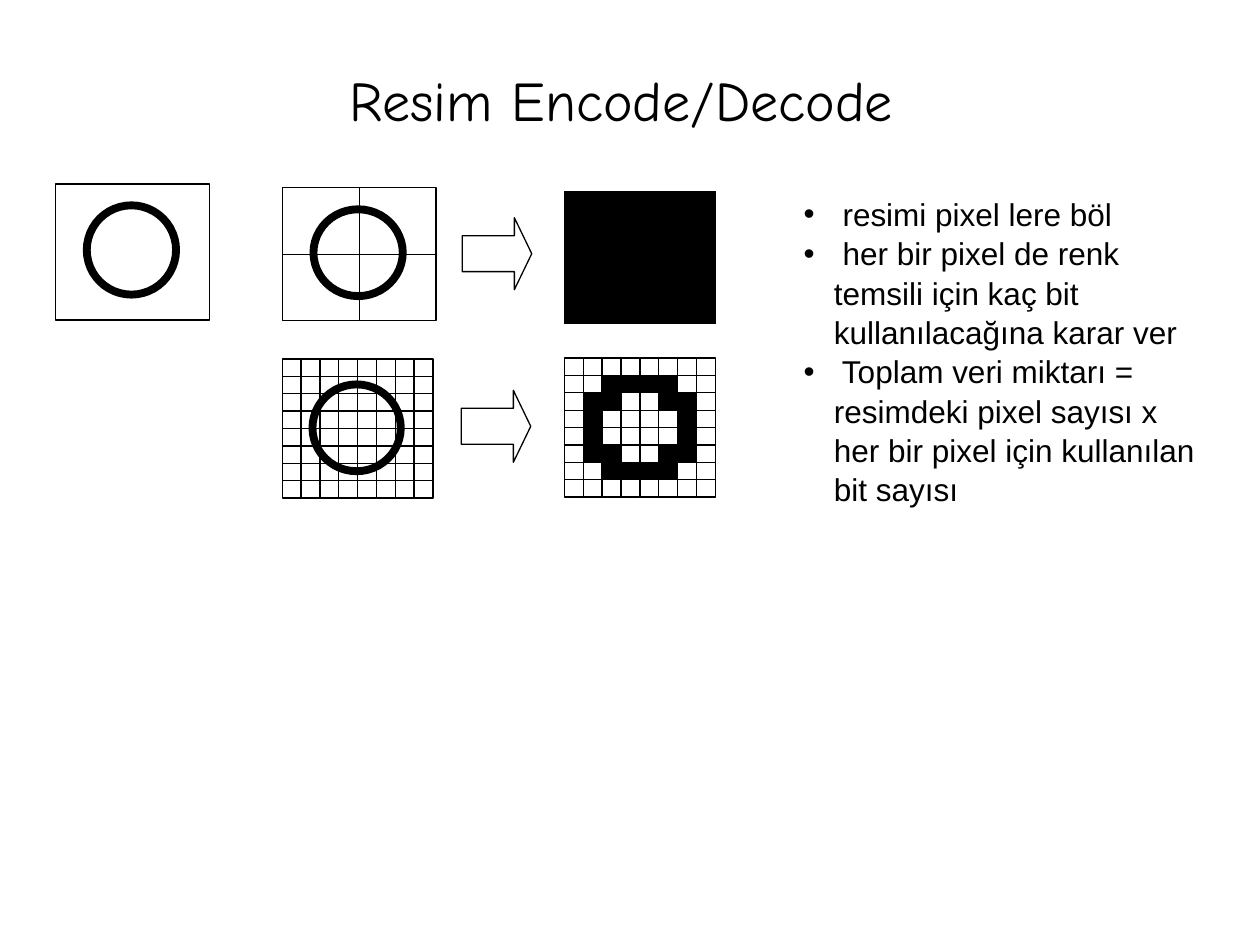
from dataclasses import dataclass
from lxml.etree import SubElement
from pptx import Presentation
from pptx.dml.color import RGBColor
from pptx.enum.shapes import MSO_CONNECTOR, MSO_SHAPE
from pptx.enum.text import MSO_ANCHOR, PP_ALIGN
from pptx.oxml.ns import qn
from pptx.util import Cm, Pt


@dataclass(frozen=True)
class Theme:
    ink: RGBColor = RGBColor(0, 0, 0)
    head_font: str = "Comic Neue"
    head_size: Pt = Pt(32)
    body_font: str = "Arial"
    body_size: Pt = Pt(18)
    thin: Pt = Pt(0.75)
    thick: Pt = Pt(4.5)


theme = Theme()


def draw(host, kind, box, width=theme.thin, solid=False):
    """Add an outlined shape, filled with ink when solid; box is in cm."""
    shape = host.add_shape(kind, *map(Cm, box))
    shape.shadow.inherit = False
    if solid:
        shape.fill.solid()
        shape.fill.fore_color.rgb = theme.ink
    else:
        shape.fill.background()
    shape.line.color.rgb = theme.ink
    shape.line.width = width
    return shape


def write(para, text, font, size):
    """Add one run of ink-coloured text."""
    run = para.add_run()
    run.text = text
    run.font.name = font
    run.font.size = size
    run.font.color.rgb = theme.ink


deck = Presentation()
deck.slide_width, deck.slide_height = Cm(25.4), Cm(19.05)
slide = deck.slides.add_slide(deck.slide_layouts[6])
shapes = slide.shapes

# Title
frame = shapes.add_textbox(Cm(5.61), Cm(0.81), Cm(13.84), Cm(2.36)).text_frame
frame.word_wrap = True
frame.vertical_anchor = MSO_ANCHOR.MIDDLE
para = frame.paragraphs[0]
para.alignment = PP_ALIGN.CENTER
write(para, "Resim Encode/Decode", theme.head_font, theme.head_size)

# Framed circle
group = shapes.add_group_shape().shapes
draw(group, MSO_SHAPE.OVAL, (1.75, 4.14, 1.8, 1.8), theme.thick)
draw(group, MSO_SHAPE.RECTANGLE, (1.12, 3.71, 3.1, 2.74))

# Circle cut into four pixels
group = shapes.add_group_shape().shapes
draw(group, MSO_SHAPE.OVAL, (6.32, 4.22, 1.8, 1.75), theme.thick)
border = draw(group, MSO_SHAPE.RECTANGLE, (5.69, 3.78, 3.1, 2.69))
for start, end in ((1, 3), (2, 0)):
    line = group.add_connector(MSO_CONNECTOR.STRAIGHT, 0, 0, 0, 0)
    line.begin_connect(border, start)
    line.end_connect(border, end)
    line.line.color.rgb = theme.ink
    line.line.width = theme.thin
    SubElement(line._element.spPr, qn("a:effectLst"))

# Arrows and the four-pixel result
for left, top in ((9.32, 4.39), (9.3, 7.87)):
    arrow = draw(shapes, MSO_SHAPE.RIGHT_ARROW, (left, top, 1.4, 1.45))
    arrow.adjustments[0], arrow.adjustments[1] = 0.5, 0.25
draw(shapes, MSO_SHAPE.RECTANGLE, (11.38, 3.86, 3.05, 2.67), solid=True)

# Fine pixel grids: the circle under an empty grid, then its bitmap
blank = ["........"] * 8
ring = [
    "........",
    "..####..",
    ".##..##.",
    ".#....#.",
    ".#....#.",
    ".##..##.",
    "..####..",
    "........",
]
cell_w, cell_h = 0.38, 0.35
group = shapes.add_group_shape().shapes
draw(group, MSO_SHAPE.OVAL, (6.3, 7.75, 1.78, 1.75), theme.thick)
for host, left, top, bitmap in (
    (group, 5.69, 7.24, blank),
    (shapes, 11.38, 7.22, ring),
):
    for row, marks in enumerate(bitmap):
        for col, mark in enumerate(marks):
            box = (left + col * cell_w, top + row * cell_h, cell_w, cell_h)
            draw(host, MSO_SHAPE.RECTANGLE, box, solid=mark == "#")

# Bulleted steps
frame = shapes.add_textbox(Cm(15.95), Cm(3.78), Cm(8.61), Cm(6.35)).text_frame
frame.word_wrap = True
steps = (
    " resimi pixel lere böl",
    " her bir pixel de renk temsili için kaç bit kullanılacağına karar ver",
    " Toplam veri miktarı = resimdeki pixel sayısı x her bir pixel için "
    "kullanılan bit sayısı",
)
for index, step in enumerate(steps):
    para = frame.add_paragraph() if index else frame.paragraphs[0]
    props = para._p.get_or_add_pPr()
    props.set("marL", str(Cm(0.61)))
    props.set("indent", str(-Cm(0.61)))
    SubElement(props, qn("a:buFont"), typeface=theme.body_font)
    SubElement(props, qn("a:buChar"), char="•")
    para.line_spacing = 1.04
    write(para, step, theme.body_font, theme.body_size)

deck.save("out.pptx")
